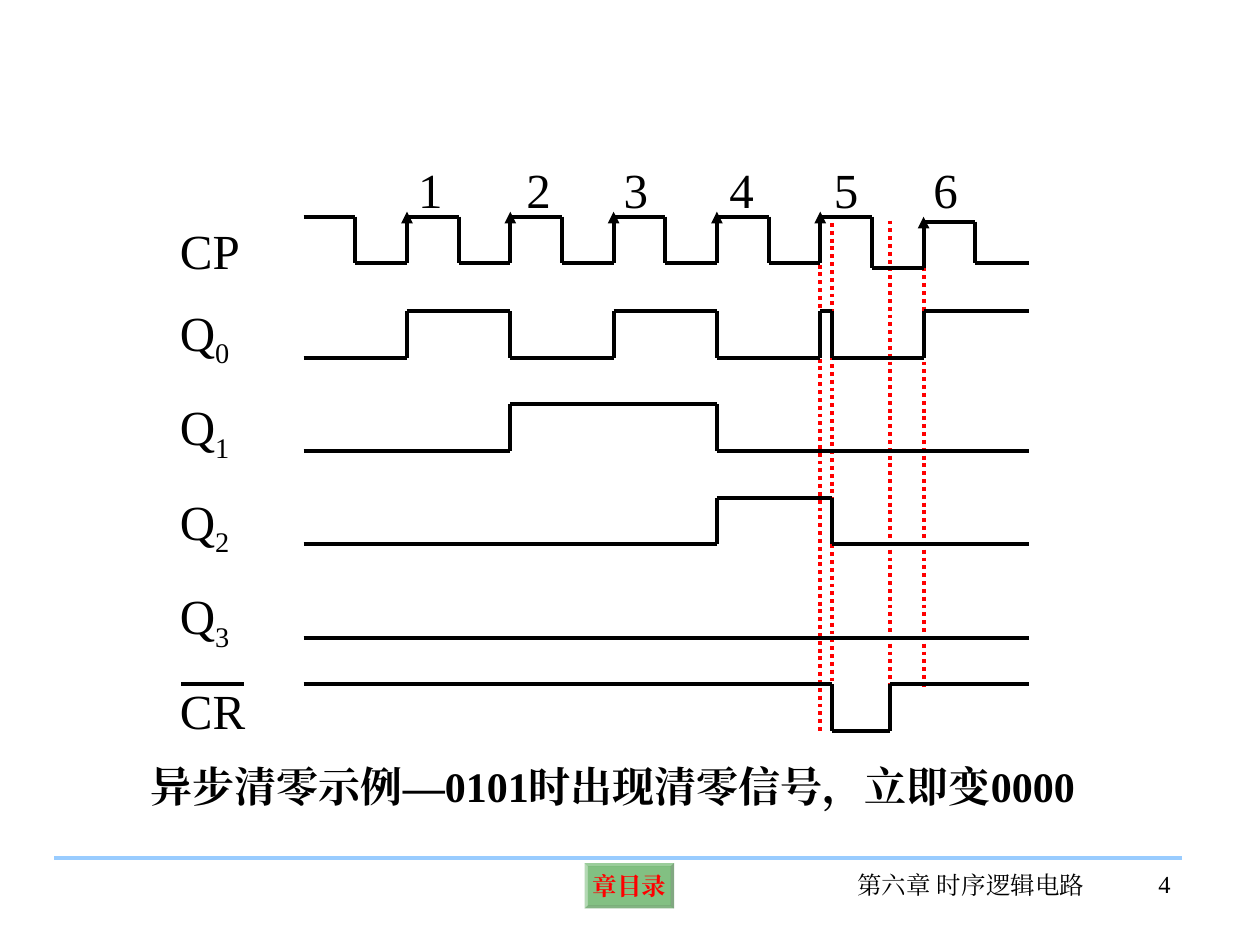
from dataclasses import dataclass
from itertools import cycle, islice

from lxml.etree import SubElement
from pptx import Presentation
from pptx.dml.color import RGBColor
from pptx.enum.dml import MSO_LINE
from pptx.enum.lang import MSO_LANGUAGE_ID
from pptx.enum.shapes import MSO_CONNECTOR, MSO_SHAPE
from pptx.enum.text import MSO_ANCHOR, PP_ALIGN
from pptx.oxml.ns import qn
from pptx.util import Inches, Pt

BLACK = RGBColor(0, 0, 0)
RED = RGBColor(255, 0, 0)
GREEN = RGBColor(0, 128, 0)
BLUE = RGBColor(0x99, 0xCC, 0xFF)
FONT = "Times New Roman"

LEFT, RIGHT, HALF = 2.41, 8.17, 0.41
CLEAR, SET = 6.6, 7.06  # moments when CR falls and rises


@dataclass
class Wave:
    """Levels from left to right, with the times of the edges between them."""
    levels: list[float]
    edges: list[float]
    arrows: bool = False


@dataclass
class Label:
    text: str
    left: float
    top: float
    width: float
    sub: str = ""


def tick(n: int) -> float:
    """Time of the nth clock edge."""
    return LEFT + n * HALF


def toggle(first: float, second: float, edges: list[float]) -> Wave:
    return Wave(list(islice(cycle([first, second]), len(edges) + 1)), edges)


def draw_line(slide, x1: float, y1: float, x2: float, y2: float, *,
              color: RGBColor = BLACK, dots: bool = False, arrow: bool = False) -> None:
    line = slide.shapes.add_connector(
        MSO_CONNECTOR.STRAIGHT, Inches(x1), Inches(y1), Inches(x2), Inches(y2))
    line.line.color.rgb = color
    line.line.width = Pt(2.25)
    if dots:
        line.line.dash_style = MSO_LINE.ROUND_DOT
    props = line._element.spPr
    if arrow:
        SubElement(props.find(qn("a:ln")), qn("a:tailEnd"), type="triangle")
    SubElement(props, qn("a:effectLst"))


def draw_wave(slide, wave: Wave) -> None:
    times = [LEFT, *wave.edges, RIGHT]
    for level, start, end in zip(wave.levels, times, times[1:]):
        draw_line(slide, start, level, end, level)
    for time, old, new in zip(wave.edges, wave.levels, wave.levels[1:]):
        rise = wave.arrows and new < old
        draw_line(slide, time, old, time, new - 0.04 if rise else new, arrow=rise)


def write(frame, text: str, *, size: float = 28, color: RGBColor = BLACK,
          bold: bool = False, align: PP_ALIGN = PP_ALIGN.LEFT, sub: str = "") -> None:
    para = frame.paragraphs[0]
    para.alignment = align
    for part in filter(None, (text, sub)):
        run = para.add_run()
        run.text = part
        font = run.font
        font.size, font.name, font.bold = Pt(size), FONT, bold
        font.color.rgb = color
        font.language_id = MSO_LANGUAGE_ID.SIMPLIFIED_CHINESE
        SubElement(font._element, qn("a:ea"), typeface=FONT)
        if part is sub:
            font._element.set("baseline", "-25000")


def add_text(slide, left: float, top: float, width: float, height: float,
             text: str, **style) -> None:
    box = slide.shapes.add_textbox(
        Inches(left), Inches(top), Inches(width), Inches(height))
    box.text_frame.word_wrap = True
    write(box.text_frame, text, **style)


def add_button(slide) -> None:
    shape = slide.shapes.add_shape(
        MSO_SHAPE.BEVEL, Inches(4.64), Inches(6.85), Inches(0.71), Inches(0.36))
    shape.adjustments[0] = 0.07
    shape.shadow.inherit = False
    shape.fill.solid()
    shape.fill.fore_color.rgb = GREEN
    tint = shape._element.spPr.find(qn("a:solidFill")).find(qn("a:srgbClr"))
    SubElement(tint, qn("a:alpha"), val="49000")
    shape.line.fill.background()
    frame = shape.text_frame
    frame.word_wrap = False
    frame.vertical_anchor = MSO_ANCHOR.MIDDLE
    frame.margin_left = frame.margin_right = Inches(0.04)
    frame.margin_top = frame.margin_bottom = Inches(0.04)
    write(frame, "章目录", size=14, color=RED, bold=True, align=PP_ALIGN.CENTER)


WAVES = [
    Wave([1.72, 2.09] * 5 + [1.72, 2.13, 1.76, 2.09],
         [tick(n) for n in range(1, 14)], arrows=True),
    toggle(2.84, 2.47, [tick(n) for n in (2, 4, 6, 8, 10)] + [CLEAR, tick(12)]),
    toggle(3.58, 3.21, [tick(4), tick(8)]),
    toggle(4.32, 3.95, [tick(8), CLEAR]),
    toggle(5.06, 5.06, []),
    toggle(5.43, 5.8, [CLEAR, SET]),
]
GUIDES = [(tick(12), 1.75, 5.45), (CLEAR, 1.77, 5.8),
          (tick(10), 2.1, 5.8), (SET, 1.75, 5.45)]
LABELS = [
    Label("CP", 1.33, 1.7, 0.77),
    *(Label("Q", 1.33, 2.35 + 0.75 * n, 0.77, str(n)) for n in range(4)),
    Label("CR", 1.33, 5.35, 0.77),
    *(Label(str(n), x, 1.22, 0.45)
      for n, x in enumerate((3.22, 4.08, 4.85, 5.69, 6.52, 7.31), 1)),
]


def main() -> None:
    deck = Presentation()
    deck.slide_width, deck.slide_height = Inches(10), Inches(7.5)
    slide = deck.slides.add_slide(deck.slide_layouts[6])

    add_button(slide)
    draw_line(slide, 0.43, 6.81, 9.38, 6.81, color=BLUE)
    add_text(slide, 6.66, 6.86, 2.09, 0.5, "第六章 时序逻辑电路",
             size=14, align=PP_ALIGN.CENTER)
    add_text(slide, 8.53, 6.85, 0.86, 0.5, "4", size=14, align=PP_ALIGN.RIGHT)

    for x, top, bottom in GUIDES:
        draw_line(slide, x, top, x, bottom, color=RED, dots=True)
    for wave in WAVES:
        draw_wave(slide, wave)
    for label in LABELS:
        add_text(slide, label.left, label.top, label.width, 0.57,
                 label.text, sub=label.sub)
    draw_line(slide, 1.44, 5.43, 1.94, 5.43)
    add_text(slide, 1.1, 5.99, 7.87, 0.5,
             "异步清零示例—0101时出现清零信号，立即变0000", size=24, bold=True)
    deck.save("out.pptx")


if __name__ == "__main__":
    main()
